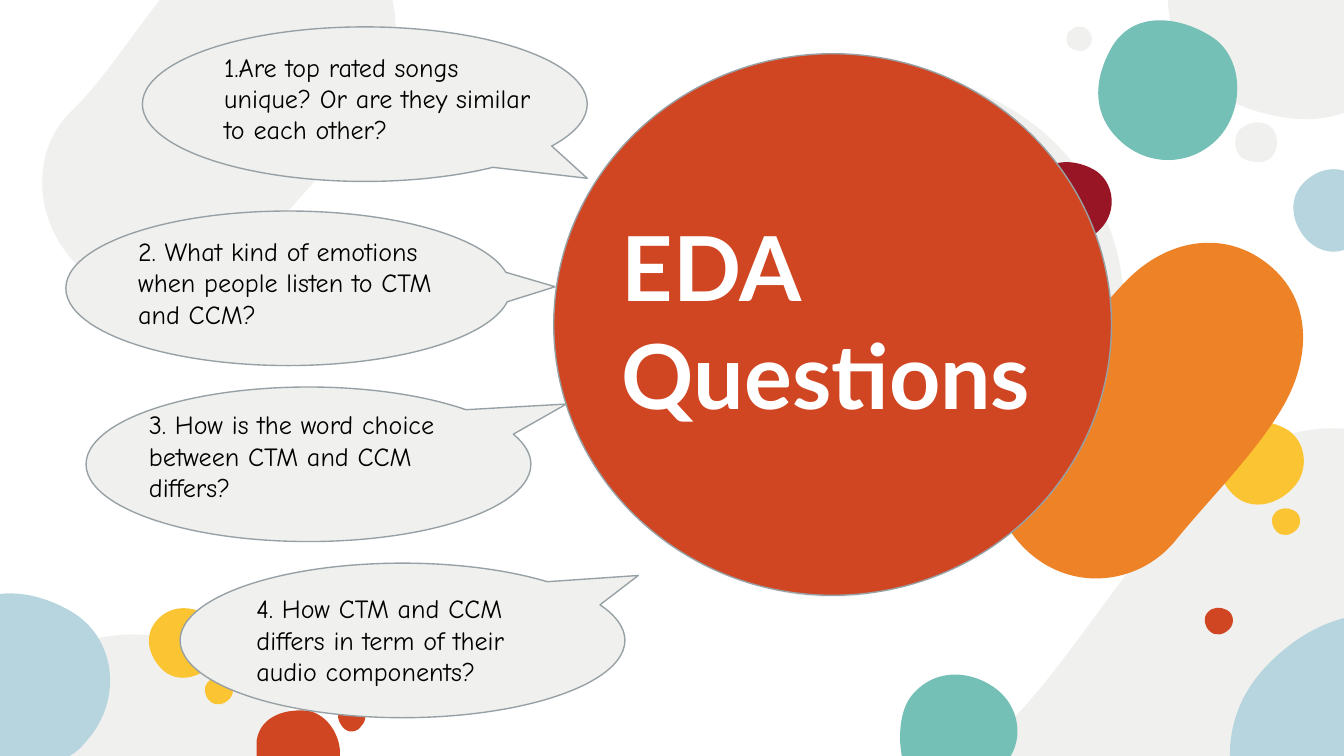
from lxml import etree
from pptx import Presentation
from pptx.dml.color import RGBColor
from pptx.enum.shapes import MSO_SHAPE
from pptx.enum.text import MSO_ANCHOR, MSO_AUTO_SIZE
from pptx.oxml.ns import qn
from pptx.util import Inches, Pt

ELLIPSE = MSO_SHAPE.OVAL
CALLOUT = MSO_SHAPE.OVAL_CALLOUT
TOP = MSO_ANCHOR.TOP
GROW = MSO_AUTO_SIZE.SHAPE_TO_FIT_TEXT

# The grid has 1000 columns; its cells are square, so a 16:9 page has 562.5 rows.
COLUMNS = 1000
ROWS = COLUMNS * 9 / 16
PAGE_WIDTH = Inches(10)
CELL = PAGE_WIDTH / COLUMNS
CURVE_STEPS = 16

COLORS = {
    "grey": "F0F0EE", "teal": "74C0B6", "yellow": "FBC433", "wine": "981526",
    "red": "D04623", "sky": "B6D5DE", "orange": "ED8227", "outline": "97A1A5",
    "white": "FFFFFF", "black": "000000",
}
TITLE_FORMAT = {"name": "Lato", "size": Pt(48), "bold": True}
QUESTION_FORMAT = {"name": "Comic Neue", "size": Pt(14), "bold": False}

# Outlines: a start point, then two numbers for a line or six for a Bezier curve.
BACK_BLOBS = [
    ("grey", [(52, 84), (20, 116, 26, 173, 65, 204), (104, 236, 156, 227, 184, 192),
              (213, 156, 254, 118, 278, 77), (292, 52, 298, 24, 292, 0), (119, 0),
              (96, 29, 76, 61, 52, 84)]),
    ("grey", [(497, 396), (580, 472, 698, 455, 782, 367), (867, 278, 850, 139, 752, 81),
              (654, 24, 546, 26, 466, 111), (387, 196, 414, 320, 497, 396)]),
    ("grey", [(COLUMNS, 0), (869, 0), (870, 29, 883, 58, 907, 71),
              (937, 87, 972, 94, COLUMNS, 84)]),
    ("grey", [(COLUMNS, ROWS), (COLUMNS, 319), (962, 316, 922, 333, 890, 366),
              (837, 419, 797, 492, 748, 541), (741, 547, 735, 555, 731, ROWS)]),
    ("teal", [(836, 107), (859, 126, 891, 122, 909, 100), (927, 77, 924, 41, 901, 27),
              (879, 13, 845, 7, 828, 34), (812, 61, 813, 88, 836, 107)]),
    ("teal", [(739, 511), (718, 497, 693, 499, 678, 518), (670, 528, 668, 547, 671, ROWS),
              (752, ROWS), (762, 546, 757, 523, 739, 511)]),
]
FRONT_BLOBS = [
    ("sky", [(COLUMNS, 127), (990, 124, 979, 127, 970, 136), (957, 149, 962, 169, 974, 180),
             (982, 187, 992, 189, COLUMNS, 186)]),
    ("grey", [(185, 500), (122, 458, 49, 463, 4, 518), (3, 520, 1, 522, 0, 523), (0, ROWS),
              (233, ROWS), (225, 537, 208, 515, 185, 500)]),
    ("orange", [(944, 197), (976, 223, 976, 265, 955, 302), (934, 338, 899, 372, 874, 403),
                (849, 433, 803, 441, 769, 414), (734, 386, 729, 337, 758, 309),
                (786, 280, 809, 238, 839, 208), (870, 177, 912, 171, 944, 197)]),
    ("sky", [(53, 455), (36, 445, 17, 440, 0, 442), (0, ROWS), (52, ROWS),
             (56, 560, 60, 557, 63, 553), (92, 522, 87, 475, 53, 455)]),
    ("red", [(230, 529), (214, 527, 194, 532, 191, 551), (191, 555, 191, 559, 191, ROWS),
             (253, ROWS), (254, 548, 244, 532, 230, 529)]),
    ("red", [(254, 526), (250, 530, 251, 536, 255, 541), (259, 546, 266, 545, 269, 540),
             (273, 536, 273, 530, 269, 526), (265, 522, 258, 523, 254, 526)]),
    ("sky", [(COLUMNS, 460), (980, 465, 960, 477, 942, 496), (923, 516, 915, 539, 915, ROWS),
             (COLUMNS, ROWS)]),
    ("grey", [(925, 118), (933, 122, 942, 122, 947, 116), (952, 109, 951, 99, 945, 94),
              (938, 89, 929, 91, 923, 96), (917, 101, 918, 114, 925, 118)]),
    ("grey", [(797, 36), (802, 39, 807, 39, 810, 35), (814, 31, 813, 25, 809, 22),
              (805, 18, 799, 20, 796, 23), (792, 26, 793, 34, 797, 36)]),
]
# One pebble outline in shares of its box, used at several places and sizes.
PEBBLE = [(0.2, 0.89), (0.39, 1.08, 0.69, 1.03, 0.89, 0.81), (1.09, 0.6, 1.05, 0.24, 0.81, 0.1),
          (0.58, -0.03, 0.31, -0.03, 0.13, 0.18), (-0.06, 0.39, 0, 0.69, 0.2, 0.89)]
BACK_PEBBLES = [("yellow", 905, 313, 64, 62), ("yellow", 946, 378, 21, 20),
                ("wine", 762, 120, 64, 62), ("red", 896, 452, 21, 20)]
FRONT_PEBBLES = [("yellow", 110, 452, 54, 52), ("yellow", 152, 504, 21, 20)]

CALLOUT_SIZE = (331, 115)
# Callout corner, tail tip in shares of the callout, text box, wording.
QUESTIONS = [
    ((106, 20), (0.5, 0.48), (157, 28, 248, 91),
     "1.Are top rated songs unique? Or are they similar to each other?"),
    ((49, 157), (0.6, -0.01), (93, 165, 256, 91),
     "2. What kind of emotions when people listen to CTM and CCM?"),
    ((64, 288), (0.58, -0.39), (101, 294, 256, 91),
     "3. How is the word choice between CTM and CCM differs?"),
    ((134, 419), (0.53, -0.42), (181, 431, 248, 91),
     "4. How CTM and CCM differs in term of their audio components?"),
]


def cells(*counts):
    return [round(count * CELL) for count in counts]


def color(name):
    return RGBColor.from_string(COLORS[name])


def paint(shape, fill, outline=None):
    shape.shadow.inherit = False
    shape.fill.solid()
    shape.fill.fore_color.rgb = color(fill)
    if outline:
        shape.line.color.rgb = color(outline)
        shape.line.width = Pt(0.75)
    else:
        shape.line.fill.background()


def find_bounds(outline):
    """Return the least and greatest x and y that the curves themselves reach."""
    points = [outline[0]]
    for segment in outline[1:]:
        if len(segment) == 6:
            corners = [points[-1], segment[:2], segment[2:4], segment[4:]]
            for t in (step / CURVE_STEPS for step in range(1, CURVE_STEPS)):
                weights = ((1 - t) ** 3, 3 * t * (1 - t) ** 2, 3 * t ** 2 * (1 - t), t ** 3)
                points.append([sum(w * corner[axis] for w, corner in zip(weights, corners))
                               for axis in (0, 1)])
        points.append(segment[-2:])
    columns, rows = zip(*points)
    return min(columns), min(rows), max(columns), max(rows)


def add_blob(page, fill, outline):
    left, top, right, bottom = cells(*find_bounds(outline))
    builder = page.shapes.build_freeform(left, top)
    builder.add_line_segments([(right, bottom)], close=True)
    shape = builder.convert_to_shape()
    drawn = next(shape.element.iter(qn("a:path")))
    for child in list(drawn):
        drawn.remove(child)
    for index, segment in enumerate(outline):
        kind = "a:cubicBezTo" if len(segment) == 6 else "a:lnTo" if index else "a:moveTo"
        command = etree.SubElement(drawn, qn(kind))
        numbers = cells(*segment)
        for x, y in zip(numbers[::2], numbers[1::2]):
            etree.SubElement(command, qn("a:pt"), x=str(x - left), y=str(y - top))
    etree.SubElement(drawn, qn("a:close"))
    paint(shape, fill)


def add_pebble(page, fill, left, top, width, height):
    outline = [tuple(left + width * share if index % 2 == 0 else top + height * share
                     for index, share in enumerate(segment))
               for segment in PEBBLE]
    add_blob(page, fill, outline)


def add_outlined_shape(page, kind, fill, *place):
    shape = page.shapes.add_shape(kind, *cells(*place))
    paint(shape, fill, "outline")
    return shape


def add_text(page, place, text, text_color, formats):
    frame = page.shapes.add_textbox(*cells(*place)).text_frame
    margins = dict.fromkeys(("margin_left", "margin_top", "margin_right", "margin_bottom"), Inches(0.1))
    for name, value in {"word_wrap": True, "auto_size": GROW, "vertical_anchor": TOP, **margins}.items():
        setattr(frame, name, value)
    span = frame.paragraphs[0].add_run()
    span.text = text
    for name, value in formats.items():
        setattr(span.font, name, value)
    span.font.color.rgb = color(text_color)


def add_question(page, corner, tail, text_place, text):
    callout = add_outlined_shape(page, CALLOUT, "grey", *corner, *CALLOUT_SIZE)
    for index, share in enumerate(tail):
        callout.adjustments[index] = share
    add_text(page, text_place, text, "black", QUESTION_FORMAT)


def add_background(page):
    for blobs, pebbles in ((BACK_BLOBS, BACK_PEBBLES), (FRONT_BLOBS, FRONT_PEBBLES)):
        for blob in blobs:
            add_blob(page, *blob)
        for pebble in pebbles:
            add_pebble(page, *pebble)


def main():
    deck = Presentation()
    deck.slide_width = PAGE_WIDTH
    deck.slide_height = round(ROWS * CELL)
    page = deck.slides.add_slide(deck.slide_layouts[6])
    add_background(page)
    add_outlined_shape(page, ELLIPSE, "red", 412, 40, 415, 403)
    add_text(page, (453, 148, 383, 182), "EDA Questions", "white", TITLE_FORMAT)
    for question in QUESTIONS:
        add_question(page, *question)
    deck.save("out.pptx")


if __name__ == "__main__":
    main()
